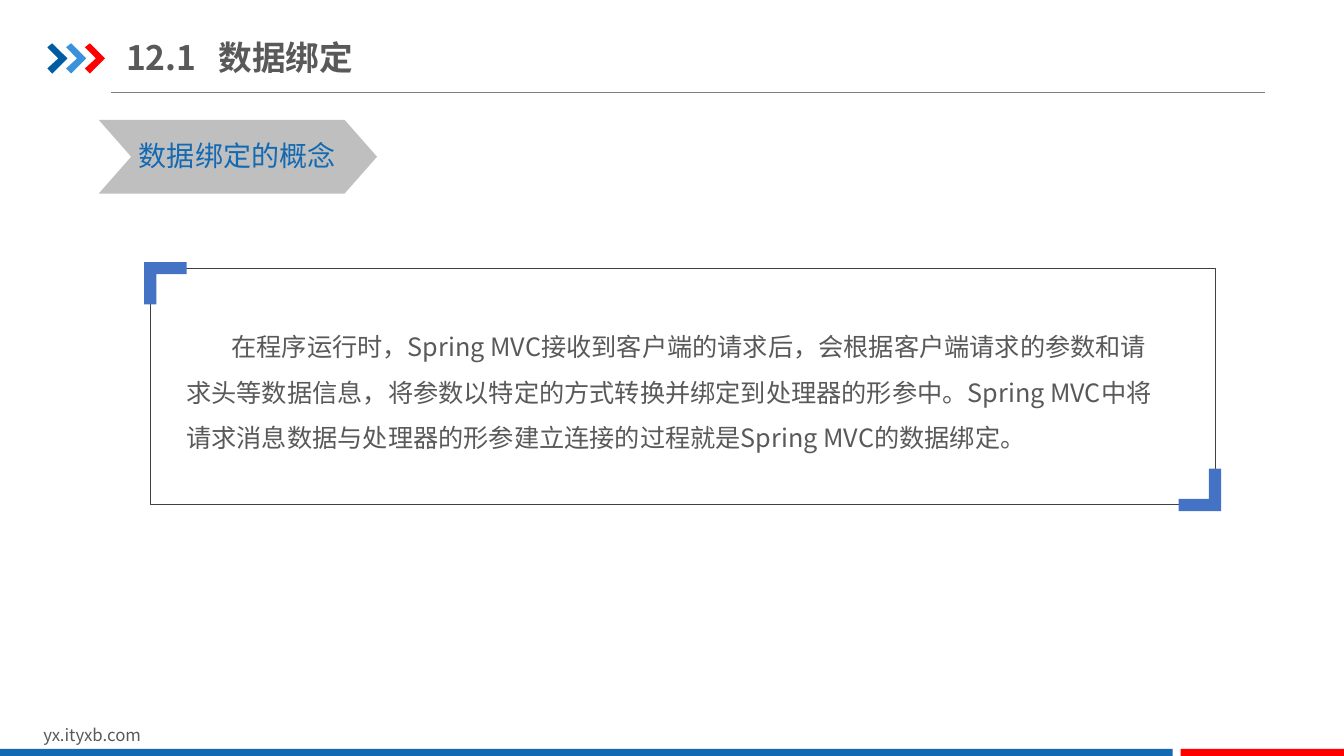
from dataclasses import dataclass
from typing import Optional

from lxml import etree
from pptx import Presentation
from pptx import util as u
from pptx.dml.color import RGBColor
from pptx.enum import shapes as es, text as et
from pptx.oxml import ns

FONT = "Noto Sans CJK SC"
NAVY = RGBColor(0x00, 0x5D, 0xA2)
SKY = RGBColor(0x39, 0x92, 0xDB)
RED = RGBColor(0xFF, 0x00, 0x00)
BLUE = RGBColor(0x13, 0x69, 0xB2)
STEEL = RGBColor(0x44, 0x72, 0xC4)
SILVER = RGBColor(0xBF, 0xBF, 0xBF)
GRAY = RGBColor(0x80, 0x80, 0x80)
INK = RGBColor(0x59, 0x59, 0x59)
EDGE = RGBColor(0x40, 0x40, 0x40)

deck = Presentation()
deck.slide_width = u.Inches(13.33)
deck.slide_height = u.Inches(7.5)
slide = deck.slides.add_slide(deck.slide_layouts[6])


def col(share: float) -> int:
    return round(deck.slide_width * share / 100)


def row(share: float) -> int:
    return round(deck.slide_height * share / 100)


@dataclass
class Box:
    x: float
    y: float
    w: float
    h: float

    def place(self) -> tuple:
        return col(self.x), row(self.y), col(self.w), row(self.h)


@dataclass
class Block:
    box: Box
    kind: es.MSO_SHAPE
    fill: Optional[RGBColor] = None
    line: Optional[RGBColor] = None
    bend: Optional[float] = None


@dataclass
class Label:
    box: Box
    runs: list
    size: float
    color: RGBColor = INK
    bold: bool = False
    pad: tuple = (0.1, 0.05)
    mid: bool = False
    lead: Optional[float] = None
    dent: float = 0
    tab: float = 0


@dataclass
class Mark:
    x: float
    y: float
    form: list
    fill: RGBColor
    sign: int = 1


def paint(shape, fill: Optional[RGBColor], line: Optional[RGBColor] = None) -> None:
    shape.shadow.inherit = False
    if fill is None:
        shape.fill.background()
    else:
        shape.fill.solid()
        shape.fill.fore_color.rgb = fill
    if line is None:
        shape.line.fill.background()
    else:
        shape.line.color.rgb = line
        shape.line.width = u.Pt(0.25)


def draw_block(block: Block) -> None:
    shape = slide.shapes.add_shape(block.kind, *block.box.place())
    if block.bend is not None:
        shape.adjustments[0] = block.bend
    paint(shape, block.fill, block.line)


def draw_mark(mark: Mark) -> None:
    spots = [(col(mark.x + mark.sign * dx), row(mark.y + mark.sign * dy))
             for dx, dy in mark.form]
    pen = slide.shapes.build_freeform(*spots[0])
    pen.add_line_segments(spots[1:], close=True)
    paint(pen.convert_to_shape(), mark.fill)


def draw_label(label: Label) -> None:
    frame = slide.shapes.add_textbox(*label.box.place()).text_frame
    frame.word_wrap = True
    side, top = map(u.Inches, label.pad)
    frame.margin_left = frame.margin_right = side
    frame.margin_top = frame.margin_bottom = top
    if label.mid:
        frame.vertical_anchor = et.MSO_ANCHOR.MIDDLE
    para = frame.paragraphs[0]
    props = para._p.get_or_add_pPr()
    if label.dent:
        props.set("indent", str(col(label.dent)))
    if label.tab:
        tabs = etree.SubElement(props, ns.qn("a:tabLst"))
        etree.SubElement(tabs, ns.qn("a:tab"), pos=str(col(label.tab)), algn="l")
    if label.lead:
        para.line_spacing = label.lead
    for words in label.runs:
        run = para.add_run()
        run.text = words
        font = run.font
        font.name = FONT
        font.size = u.Pt(label.size)
        font.bold = label.bold
        font.color.rgb = label.color
        etree.SubElement(run._r.get_or_add_rPr(), ns.qn("a:ea"), typeface=FONT)


def draw_rule(left: float, right: float, y: float) -> None:
    rule = slide.shapes.add_connector(
        es.MSO_CONNECTOR.STRAIGHT, col(left), row(y), col(right), row(y))
    rule.line.color.rgb = GRAY
    rule.line.width = u.Pt(0.5)
    etree.SubElement(rule._element.spPr, ns.qn("a:effectLst"))


ARROW = [(0, 0.53), (0.37, 0), (1.5, 2), (0.37, 4), (0, 3.33), (0.82, 2)]
ANGLE = [(0, 0), (3.15, 0), (3.15, 1.6), (0.9, 1.6), (0.9, 5.6), (0, 5.6)]

BLOCKS = [
    Block(Box(0, 99.07, 87.25, 0.93), es.MSO_SHAPE.RECTANGLE, BLUE),
    Block(Box(87.85, 99.07, 12.15, 0.93), es.MSO_SHAPE.RECTANGLE, RED),
    Block(Box(7.35, 15.87, 20.7, 9.73), es.MSO_SHAPE.CHEVRON, SILVER, bend=0.44),
    Block(Box(11.18, 35.47, 79.22, 31.2), es.MSO_SHAPE.ROUNDED_RECTANGLE,
          line=EDGE, bend=0),
]
LABELS = [
    Label(Box(2.48, 95.2, 23.85, 4), ["yx.ityxb.com"], 12),
    Label(Box(9.6, 17.73, 17.4, 5.87), ["数据绑定的概念"], 20, BLUE),
    Label(Box(9.38, 3.87, 33.08, 7.33), ["12.1", "\t数据绑定"], 24,
          bold=True, pad=(0, 0.07), mid=True, tab=6.9),
    Label(Box(13.13, 41.2, 74.57, 20.93), [
        "在程序运行时，Spring MVC接收到客户端的请求后，会根据客户端请求的参数和请求头等数据信息，"
        "将参数以特定的方式转换并绑定到处理器的形参中。"
        "Spring MVC中将请求消息数据与处理器的形参建立连接的过程就是Spring MVC的数据绑定。"],
        18, lead=1.5, dent=3.35),
]
MARKS = [Mark(3.52 + 1.4 * i, 5.73, ARROW, tone)
         for i, tone in enumerate((NAVY, SKY, RED))]
MARKS += [Mark(10.73, 34.67, ANGLE, STEEL), Mark(90.85, 67.6, ANGLE, STEEL, -1)]

draw_rule(8.25, 94.13, 12.17)
for block in BLOCKS:
    draw_block(block)
for mark in MARKS:
    draw_mark(mark)
for label in LABELS:
    draw_label(label)
deck.save("out.pptx")
